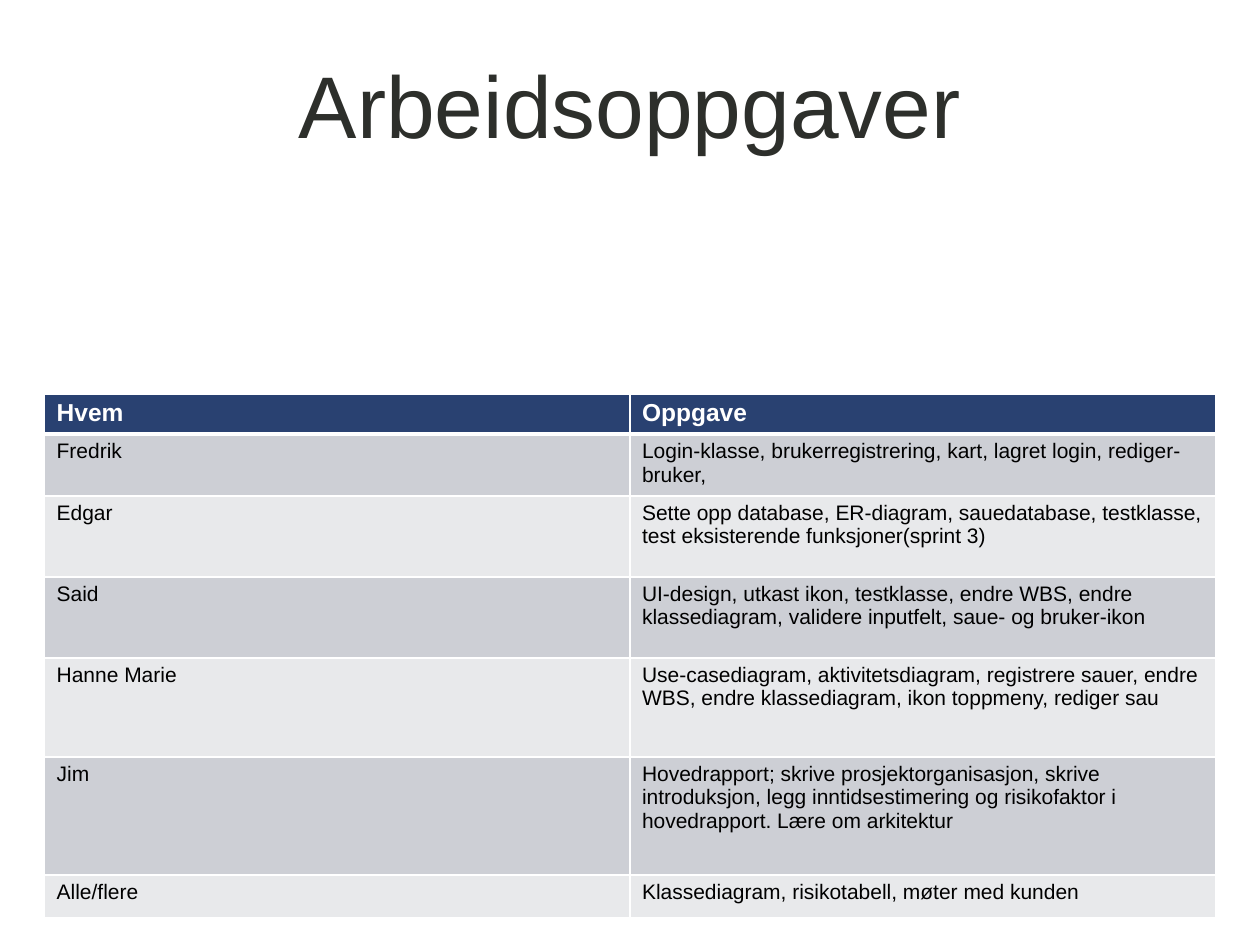
from lxml.etree import SubElement
from pptx import Presentation
from pptx.dml.color import RGBColor
from pptx.enum.text import MSO_ANCHOR, PP_ALIGN
from pptx.oxml.ns import qn
from pptx.util import Pt

TITLE = "Arbeidsoppgaver"
HEADER = ("Hvem", "Oppgave")
TASKS = [  # person, task, row height
    ("Fredrik", "Login-klasse, brukerregistrering, kart, lagret login, "
     "rediger-bruker,", 35.3),
    ("Edgar", "Sette opp database, ER-diagram, sauedatabase, testklasse, "
     "test eksisterende funksjoner(sprint 3)", 46.3),
    ("Said", "UI-design, utkast ikon, testklasse, endre WBS, endre "
     "klassediagram, validere inputfelt, saue- og bruker-ikon", 46.3),
    ("Hanne Marie", "Use-casediagram, aktivitetsdiagram, registrere sauer, "
     "endre WBS, endre klassediagram, ikon toppmeny, rediger sau", 56.6),
    ("Jim", "Hovedrapport; skrive prosjektorganisasjon, skrive introduksjon, "
     "legg inntidsestimering og risikofaktor i hovedrapport. "
     "Lære om arkitektur", 67.4),
    ("Alle/flere", "Klassediagram, risikotabell, møter med kunden", 24.7),
]
HEADER_HEIGHT = 22.3
LEFT, TOP, WIDTH = 25.5, 225, 669

FONT = "Arial"
WHITE = RGBColor(0xFF, 0xFF, 0xFF)
BLACK = RGBColor(0, 0, 0)
TITLE_INK = RGBColor(0x2D, 0x2F, 0x2B)
NAVY = RGBColor(0x29, 0x41, 0x71)
BANDS = (RGBColor(0xCD, 0xCF, 0xD5), RGBColor(0xE8, 0xE9, 0xEB))


def add_run(p, text, size, color, bold=False):
    r = p.add_run()
    r.text = text
    r.font.name, r.font.size, r.font.bold = FONT, Pt(size), bold
    r.font.color.rgb = color


def set_borders(cell, top, bottom):
    tc_pr = cell._tc.get_or_add_tcPr()
    widths = {"a:lnL": 1, "a:lnR": 1, "a:lnT": top, "a:lnB": bottom}
    for i, (tag, width) in enumerate(widths.items()):
        ln = SubElement(tc_pr, qn(tag), w=str(Pt(width)))
        fill = SubElement(ln, qn("a:solidFill"))
        SubElement(fill, qn("a:srgbClr"), val=str(WHITE))
        tc_pr.insert(i, ln)  # borders come before the fill


prs = Presentation()
prs.slide_width, prs.slide_height = Pt(720), Pt(540)
s = prs.slides.add_slide(prs.slide_layouts[6])

# Title
tf = s.shapes.add_textbox(Pt(54), Pt(5), Pt(612), Pt(108)).text_frame
tf.word_wrap = True
tf.vertical_anchor = MSO_ANCHOR.MIDDLE
p = tf.paragraphs[0]
p.alignment = PP_ALIGN.CENTER
add_run(p, TITLE, 50, TITLE_INK)

# Task table
rows = [(*HEADER, HEADER_HEIGHT)] + TASKS
height = sum(row[-1] for row in rows)
table = s.shapes.add_table(len(rows), len(HEADER), Pt(LEFT), Pt(TOP),
                           Pt(WIDTH), Pt(height)).table
for i, (*texts, row_height) in enumerate(rows):
    table.rows[i].height = Pt(row_height)
    is_header = i == 0
    for j, text in enumerate(texts):
        cell = table.cell(i, j)
        cell.margin_left = cell.margin_right = Pt(6.9)
        cell.margin_top = cell.margin_bottom = Pt(3.1)
        cell.fill.solid()
        cell.fill.fore_color.rgb = NAVY if is_header else BANDS[(i - 1) % 2]
        set_borders(cell, 3 if i == 1 else 1, 3 if is_header else 1)
        add_run(cell.text_frame.paragraphs[0], text, 14 if is_header else 12,
                WHITE if is_header else BLACK, is_header)

prs.save("out.pptx")
